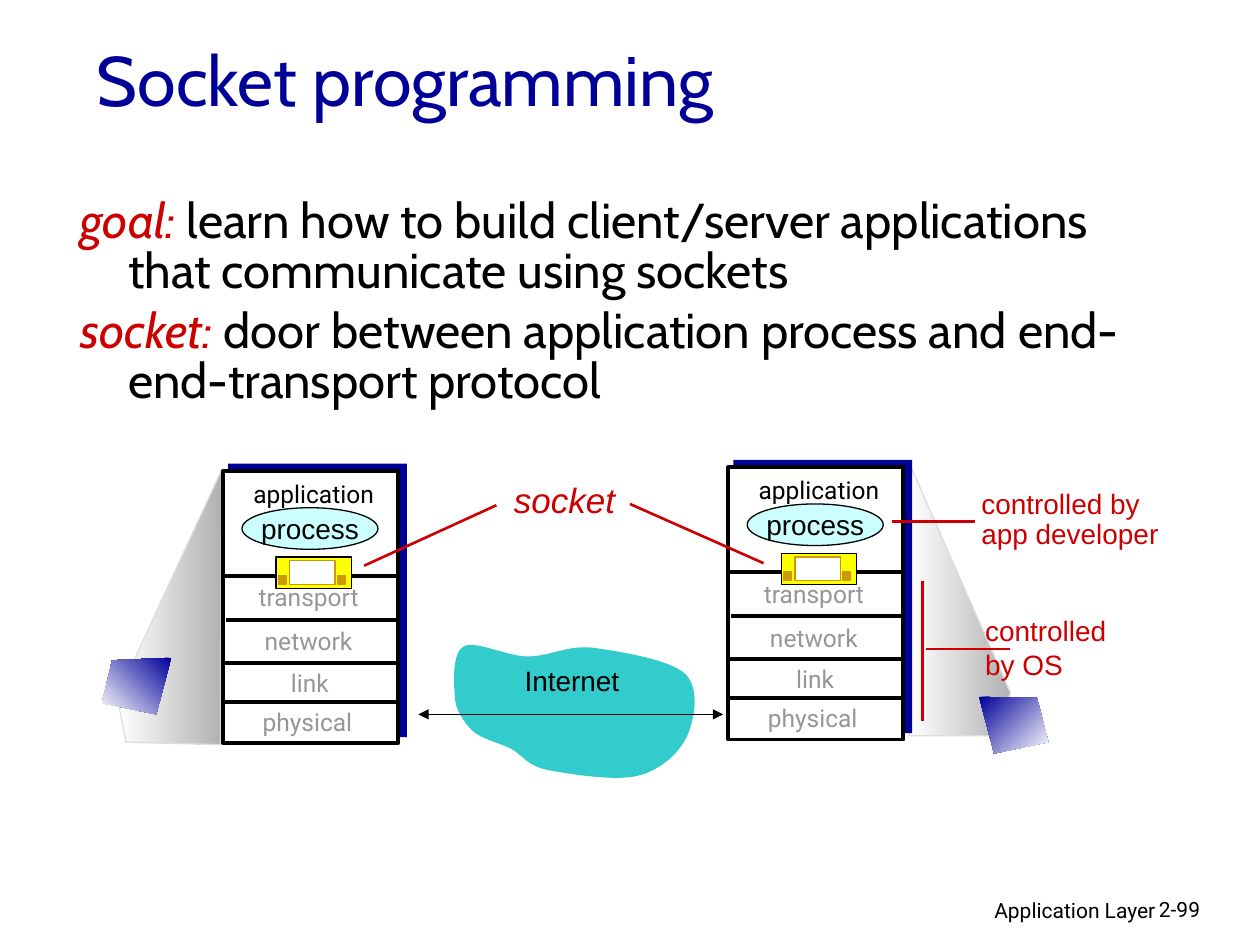
from dataclasses import dataclass
from lxml.etree import SubElement
from pptx import Presentation
from pptx.dml.color import RGBColor
from pptx.enum.shapes import MSO_CONNECTOR, MSO_SHAPE
from pptx.enum.text import MSO_ANCHOR, MSO_AUTO_SIZE, PP_ALIGN
from pptx.oxml.ns import qn
from pptx.util import Inches, Pt

NAVY = RGBColor(0x00, 0x00, 0x99)
RED = RGBColor(0xCC, 0x00, 0x00)
BLACK = RGBColor(0x00, 0x00, 0x00)
WHITE = RGBColor(0xFF, 0xFF, 0xFF)
SILVER = RGBColor(0xB2, 0xB2, 0xB2)
PALE = RGBColor(0xDD, 0xDD, 0xDD)
GRAY = RGBColor(0x96, 0x96, 0x96)
TEAL = RGBColor(0x33, 0xCC, 0xCC)
AQUA = RGBColor(0xCC, 0xFF, 0xFF)
YELLOW = RGBColor(0xFF, 0xFF, 0x00)
GOLD = RGBColor(0xCC, 0x99, 0x00)

Point = tuple[float, float]
Box = tuple[float, float, float, float]


@dataclass
class Label:
    lines: list[str]
    box: Box
    size: int
    font: str
    color: RGBColor = BLACK
    align: PP_ALIGN = PP_ALIGN.LEFT
    space: float = 1.0
    wrap: bool = False
    slant: bool = False
    middle: bool = False


@dataclass
class Layer:
    name: str
    left: float
    top: float
    color: RGBColor = GRAY


@dataclass
class Link:
    start: Point
    end: Point
    color: RGBColor = RED
    width: float = 1.5
    heads: bool = False


@dataclass
class Patch:
    points: list[Point]
    first: RGBColor
    last: RGBColor
    angle: int
    edge: RGBColor | None = None


LAYERS = [
    Layer("application", 0, -0.01, BLACK),
    Layer("transport", -0.04, 0.81),
    Layer("network", -0.04, 1.16),
    Layer("link", -0.03, 1.49),
    Layer("physical", -0.05, 1.8),
]
RULES = [(0.01, 0.83), (0.02, 1.18), (0, 1.52), (0, 1.83)]

BEAMS = [
    Patch([(8.02, 5.5), (7.21, 3.66), (7.22, 5.84), (7.87, 5.84)],
          WHITE, SILVER, 0, PALE),
    Patch([(0.93, 5.53), (1.76, 3.73), (1.75, 5.91), (1, 5.89)],
          WHITE, SILVER, 0, PALE),
]
HOSTS = [
    Patch([(1.36, 5.22), (0.89, 5.24), (0.81, 5.58), (1.24, 5.67)],
          NAVY, WHITE, 225),
    Patch([(7.77, 5.53), (8.23, 5.54), (8.32, 5.89), (7.89, 5.98)],
          NAVY, WHITE, 315),
]

CLOUD = [
    (3.61, 5.52), (3.6, 5.41), (3.59, 5.18), (3.68, 5.13), (3.78, 5.08),
    (4.02, 5.21), (4.19, 5.21), (4.36, 5.21), (4.5, 5.12), (4.7, 5.14),
    (4.91, 5.17), (5.31, 5.23), (5.44, 5.35), (5.56, 5.47), (5.51, 5.72),
    (5.45, 5.85), (5.38, 5.99), (5.23, 6.12), (5.05, 6.16), (4.86, 6.2),
    (4.5, 6.14), (4.34, 6.11), (4.17, 6.07), (4.15, 5.99), (4.05, 5.94),
    (3.95, 5.89), (3.83, 5.87), (3.75, 5.8), (3.68, 5.73), (3.61, 5.63),
    (3.61, 5.52),
]

LABELS = [
    Label(["Socket programming"], (0.67, 0, 8.5, 1.25), 40, "Cabin", NAVY,
          wrap=True, middle=True),
    Label(["Application Layer"], (6.1, 7.07, 3.17, 0.31), 12, "Roboto",
          align=PP_ALIGN.RIGHT, wrap=True),
    Label(["2-99"], (9.1, 7.07, 0.74, 0.3), 12, "Roboto", wrap=True),
    Label(["Internet"], (4.06, 5.22, 0.96, 0.37), 16, "Arial",
          align=PP_ALIGN.CENTER),
    Label(["controlled", "by OS"], (7.72, 4.82, 1.16, 0.9), 16, "Arial", RED),
    Label(["controlled by", "app developer"], (7.69, 3.84, 1.61, 0.58), 16,
          "Arial", RED, space=0.9),
    Label(["socket"], (3.98, 3.79, 1.03, 0.4), 20, "Arial", RED, space=0.9,
          slant=True),
]
GOALS = [
    ("goal:", " learn how to build client/server applications that communicate using sockets"),
    ("socket:", " door between application process and end-end-transport protocol"),
]
LINKS = [
    Link((7.74, 4.14), (7.08, 4.14)),
    Link((7.32, 4.61), (7.32, 5.72)),
    Link((8.02, 5.15), (7.35, 5.15)),
    Link((2.89, 4.49), (3.94, 4.01)),
    Link((6.06, 4.47), (5, 4)),
]


def add_text(slide, label: Label) -> None:
    frame = slide.shapes.add_textbox(*map(Inches, label.box)).text_frame
    frame.word_wrap = label.wrap
    if not label.wrap:
        frame.auto_size = MSO_AUTO_SIZE.SHAPE_TO_FIT_TEXT
    if label.middle:
        frame.vertical_anchor = MSO_ANCHOR.MIDDLE
    frame.text = "\n".join(label.lines)
    for para in frame.paragraphs:
        para.alignment = label.align
        para.line_spacing = label.space
        style(para.font, label.size, label.font, label.color, label.slant)


def style(font, size: int, name: str, color: RGBColor, slant: bool = False) -> None:
    font.size = Pt(size)
    font.name = name
    font.color.rgb = color
    font.italic = slant


def add_goals(slide) -> None:
    frame = slide.shapes.add_textbox(
        Inches(0.54), Inches(1.53), Inches(8.77), Inches(1.68)).text_frame
    frame.word_wrap = True
    for index, (term, rest) in enumerate(GOALS):
        para = frame.add_paragraph() if index else frame.paragraphs[0]
        props = para._p.get_or_add_pPr()
        props.set("marL", str(Inches(0.38)))
        props.set("indent", str(Inches(-0.38)))
        para.line_spacing = 0.85
        if index:
            para.space_before = Pt(5.6)
        for text, color, slant in ((term, RED, True), (rest, BLACK, False)):
            run = para.add_run()
            run.text = text
            style(run.font, 28, "Cabin", color, slant)


def paint(shape, fill: RGBColor, edge: RGBColor | None, width: float) -> None:
    shape.shadow.inherit = False
    shape.fill.solid()
    shape.fill.fore_color.rgb = fill
    outline(shape, edge, width)


def outline(shape, edge: RGBColor | None, width: float) -> None:
    if edge is None:
        shape.line.fill.background()
    else:
        shape.line.color.rgb = edge
        shape.line.width = Pt(width)


def add_form(slide, kind, box: Box, fill: RGBColor,
             edge: RGBColor | None = None, width: float = 0.75):
    shape = slide.shapes.add_shape(kind, *map(Inches, box))
    paint(shape, fill, edge, width)
    return shape


def trace(slide, points: list[Point]):
    spots = [(Inches(x), Inches(y)) for x, y in points]
    pen = slide.shapes.build_freeform(*spots[0], scale=1.0)
    pen.add_line_segments(spots[1:], close=True)
    return pen.convert_to_shape()


def add_patch(slide, patch: Patch) -> None:
    shape = trace(slide, patch.points)
    shape.shadow.inherit = False
    shape.fill.gradient()
    shape.fill.gradient_angle = patch.angle
    for stop, color in zip(shape.fill.gradient_stops, (patch.first, patch.last)):
        stop.color.rgb = color
    outline(shape, patch.edge, 0.75)


def add_cloud(slide) -> None:
    shape = trace(slide, CLOUD)
    sides = list(shape._element.iter(qn("a:lnTo")))
    for start in range(0, len(CLOUD) - 1, 3):
        trio = sides[start:start + 3]
        bend = trio[0].makeelement(qn("a:cubicBezTo"))
        trio[0].addprevious(bend)
        for side in trio:
            bend.append(side[0])
            side.getparent().remove(side)
    paint(shape, TEAL, None, 0)


def add_link(slide, link: Link) -> None:
    line = slide.shapes.add_connector(
        MSO_CONNECTOR.STRAIGHT, *map(Inches, link.start + link.end))
    line.line.color.rgb = link.color
    line.line.width = Pt(link.width)
    if link.heads:
        for tag in ("a:headEnd", "a:tailEnd"):
            SubElement(line.line._get_or_add_ln(), qn(tag), type="triangle")
    SubElement(line._element.spPr, qn("a:effectLst"))


def add_stack(slide, left: float, top: float) -> None:
    rect = MSO_SHAPE.RECTANGLE
    add_form(slide, rect, (left + 0.04, top - 0.06, 1.42, 2.17), NAVY)
    add_form(slide, rect, (left, top, 1.39, 2.16), WHITE, BLACK, 2.25)
    for dx, dy in RULES:
        x, y = left + dx, top + dy
        add_link(slide, Link((x, y), (x + 1.38, y), BLACK, 2.25))
    for layer in LAYERS:
        box = (left + layer.left, top + layer.top, 1.44, 0.36)
        add_text(slide, Label([layer.name], box, 14, "Roboto", layer.color,
                              PP_ALIGN.CENTER, 1.1, True))
    oval = add_form(slide, MSO_SHAPE.OVAL, (left + 0.15, top + 0.29, 1.08, 0.33),
                    AQUA, BLACK)
    frame = oval.text_frame
    frame.word_wrap = False
    frame.vertical_anchor = MSO_ANCHOR.MIDDLE
    frame.text = "process"
    frame.paragraphs[0].alignment = PP_ALIGN.CENTER
    style(frame.paragraphs[0].font, 16, "Arial", BLACK)
    add_form(slide, rect, (left + 0.42, top + 0.68, 0.6, 0.25), YELLOW, BLACK)
    add_form(slide, rect, (left + 0.53, top + 0.71, 0.36, 0.19), WHITE, GOLD)
    for dx in (0.44, 0.91):
        add_form(slide, rect, (left + dx, top + 0.83, 0.06, 0.07), GOLD, GOLD)


def main() -> None:
    deck = Presentation()
    deck.slide_width, deck.slide_height = Inches(10), Inches(7.5)
    slide = deck.slides.add_slide(deck.slide_layouts[6])
    add_goals(slide)
    for beam in BEAMS:
        add_patch(slide, beam)
    add_cloud(slide)
    add_link(slide, Link((3.32, 5.67), (5.74, 5.67), BLACK, 0.75, True))
    for left, top in ((1.77, 3.74), (5.78, 3.71)):
        add_stack(slide, left, top)
    for label in LABELS:
        add_text(slide, label)
    for link in LINKS:
        add_link(slide, link)
    for host in HOSTS:
        add_patch(slide, host)
    deck.save("out.pptx")


if __name__ == "__main__":
    main()
